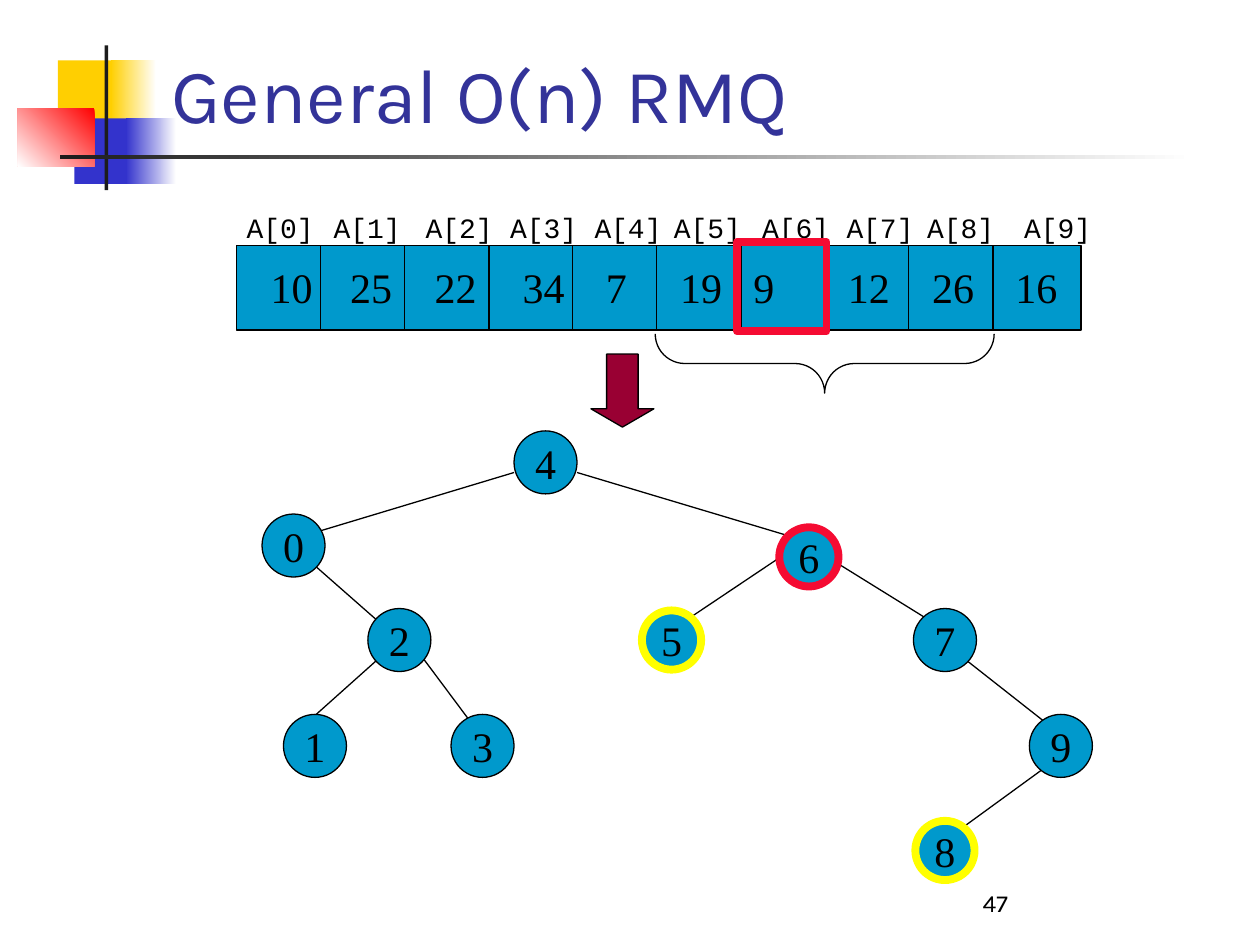
from pptx import Presentation
from pptx.dml.color import RGBColor
from pptx.enum.shapes import MSO_CONNECTOR, MSO_SHAPE
from pptx.enum.text import MSO_ANCHOR, PP_ALIGN
from pptx.oxml import parse_xml
from pptx.oxml.ns import nsdecls
from pptx.util import Inches, Pt

HUES = {
    "white": "FFFFFF", "black": "000000", "ink": "1C1C1C", "title": "333399",
    "gold": "FFCF01", "blue": "3333CC", "red": "FF0000", "cell": "0099CC",
    "wine": "990033", "yellow": "FFFF00", "mark": "F50B32",
}
SANS, SERIF, MONO = "Karla", "Times New Roman", "Courier New"


def hue(name):
    return RGBColor.from_string(HUES[name])


def write(frame, text, size=24, font=SERIF, color="black", align=PP_ALIGN.LEFT,
          anchor=MSO_ANCHOR.TOP, wrap=True):
    frame.word_wrap = wrap
    frame.vertical_anchor = anchor
    para = frame.paragraphs[0]
    para.alignment = align
    run = para.add_run()
    run.text = text
    run.font.size = Pt(size)
    run.font.name = font
    run.font.color.rgb = hue(color)


class Board:
    """Holds the line style and the current slide."""

    def __init__(self, slide, line="black", weight=0.75):
        self.slide = slide
        self.line = line
        self.weight = weight

    def title(self, text, *box):
        shape = self.slide.shapes.title
        shape.left, shape.top, shape.width, shape.height = map(Inches, box)
        write(shape.text_frame, text, size=44, font=SANS, color="title",
              anchor=MSO_ANCHOR.BOTTOM)

    def shape(self, kind, *box, fill=None, line=None, weight=None):
        shape = self.slide.shapes.add_shape(kind, *map(Inches, box))
        shape.shadow.inherit = False
        if fill:
            shape.fill.solid()
            shape.fill.fore_color.rgb = hue(fill)
        else:
            shape.fill.background()
        if line:
            shape.line.color.rgb = hue(line)
            shape.line.width = Pt(weight or self.weight)
        else:
            shape.line.fill.background()
        return shape

    def fade(self, *box, start, end, angle=180):
        """Add a rectangle with a two-colour gradient."""
        shape = self.shape(MSO_SHAPE.RECTANGLE, *box)
        shape.fill.gradient()
        shape.fill.gradient_angle = angle
        for stop, name, pos in zip(shape.fill.gradient_stops, (start, end), (0, 1)):
            stop.color.rgb = hue(name)
            stop.position = pos

    def edge(self, x1, y1, x2, y2):
        line = self.slide.shapes.add_connector(
            MSO_CONNECTOR.STRAIGHT, *map(Inches, (x1, y1, x2, y2)))
        line.line.color.rgb = hue(self.line)
        line.line.width = Pt(self.weight)
        line._element.spPr.append(parse_xml(f"<a:effectLst {nsdecls('a')}/>"))

    def text(self, text, *box, **style):
        label = self.slide.shapes.add_textbox(*map(Inches, box))
        write(label.text_frame, text, **style)

    def node(self, text, x, y, ring=None):
        disc = self.shape(MSO_SHAPE.OVAL, x, y, 0.5, 0.5, fill="cell", line=self.line)
        write(disc.text_frame, text, align=PP_ALIGN.CENTER,
              anchor=MSO_ANCHOR.MIDDLE, wrap=False)
        if ring:
            self.shape(MSO_SHAPE.OVAL, x + 0.015, y + 0.015, 0.47, 0.47,
                       line=ring, weight=4.5)


def decorate(board):
    rect = MSO_SHAPE.RECTANGLE
    board.shape(rect, 0.46, 0.48, 0.48, 0.52, fill="gold")
    board.fade(0.88, 0.48, 0.36, 0.52, start="white", end="gold")
    board.shape(rect, 0.59, 0.94, 0.46, 0.52, fill="blue")
    board.fade(1, 0.94, 0.4, 0.52, start="white", end="blue")
    board.fade(0.14, 0.86, 0.61, 0.46, start="red", end="white", angle=225)
    board.shape(rect, 0.83, 0.36, 0.03, 1.15, fill="ink")
    board.fade(0.48, 1.23, 9, 0.03, start="white", end="ink")


def array(board):
    left, top, high, step = 1.88, 1.95, 0.67, 2 / 3
    cells = [("10", 2.05), ("25", 2.68), ("22", 3.35), ("34", 4.05), ("7", 4.71),
             ("19", 5.3), ("9", 5.88), ("12", 6.63), ("26", 7.3), ("16", 7.96)]
    heads = [1.86, 2.55, 3.28, 3.95, 4.62, 5.25, 5.95, 6.62, 7.26, 8.03]
    board.shape(MSO_SHAPE.RECTANGLE, left, top, 6.7, high, fill="cell", line="black")
    for i in range(1, len(cells)):
        x = left + i * step
        board.edge(x, top, x, top + high)
    for i, ((value, x), head) in enumerate(zip(cells, heads)):
        board.text(value, x, 2.03, 0.55, 0.5)
        board.text(f"A[{i}]", head, 1.62, 0.75, 0.37, size=16, font=MONO)
    board.shape(MSO_SHAPE.RECTANGLE, 5.85, 1.92, 0.71, 0.71, line="mark", weight=4.5)

    brace = board.shape(MSO_SHAPE.LEFT_BRACE, 6.31, 1.54, 0.47, 2.69, line="black")
    brace.adjustments[0] = 0.5
    brace.rotation = 270
    arrow = board.shape(MSO_SHAPE.DOWN_ARROW, 4.69, 2.81, 0.5, 0.58,
                        fill="wine", line="black")
    arrow.adjustments[1] = 0.29


def tree(board):
    edges = [
        (4.58, 3.75, 6.25, 4.25), (4.08, 3.75, 2.42, 4.25),
        (2.42, 4.42, 3.08, 5), (3.17, 5.08, 2.42, 5.75),
        (3.25, 5.08, 3.75, 5.75), (6.33, 4.33, 5.33, 5),
        (6.42, 4.33, 7.5, 5), (7.58, 5.17, 8.42, 5.83),
        (8.42, 6, 7.5, 6.67),
    ]
    nodes = [(2.08, 4.08), (2.25, 5.67), (2.92, 4.83), (3.58, 5.67), (4.08, 3.42),
             (5.08, 4.83), (6.17, 4.17), (7.25, 4.83), (7.25, 6.5), (8.17, 5.67)]
    rings = {5: "yellow", 6: "mark", 8: "yellow"}
    for ends in edges:
        board.edge(*ends)
    for i, (x, y) in enumerate(nodes):
        board.node(str(i), x, y, ring=rings.get(i))


def main():
    deck = Presentation()
    deck.slide_width, deck.slide_height = Inches(10), Inches(7.5)
    board = Board(deck.slides.add_slide(deck.slide_layouts[5]))
    decorate(board)
    board.title("General O(n) RMQ", 1.26, 0.23, 8.52, 0.92)
    array(board)
    tree(board)
    board.text("47", 7.7, 6.83, 2.08, 0.5, size=14, font=SANS,
               anchor=MSO_ANCHOR.BOTTOM)
    deck.save("out.pptx")


if __name__ == "__main__":
    main()
